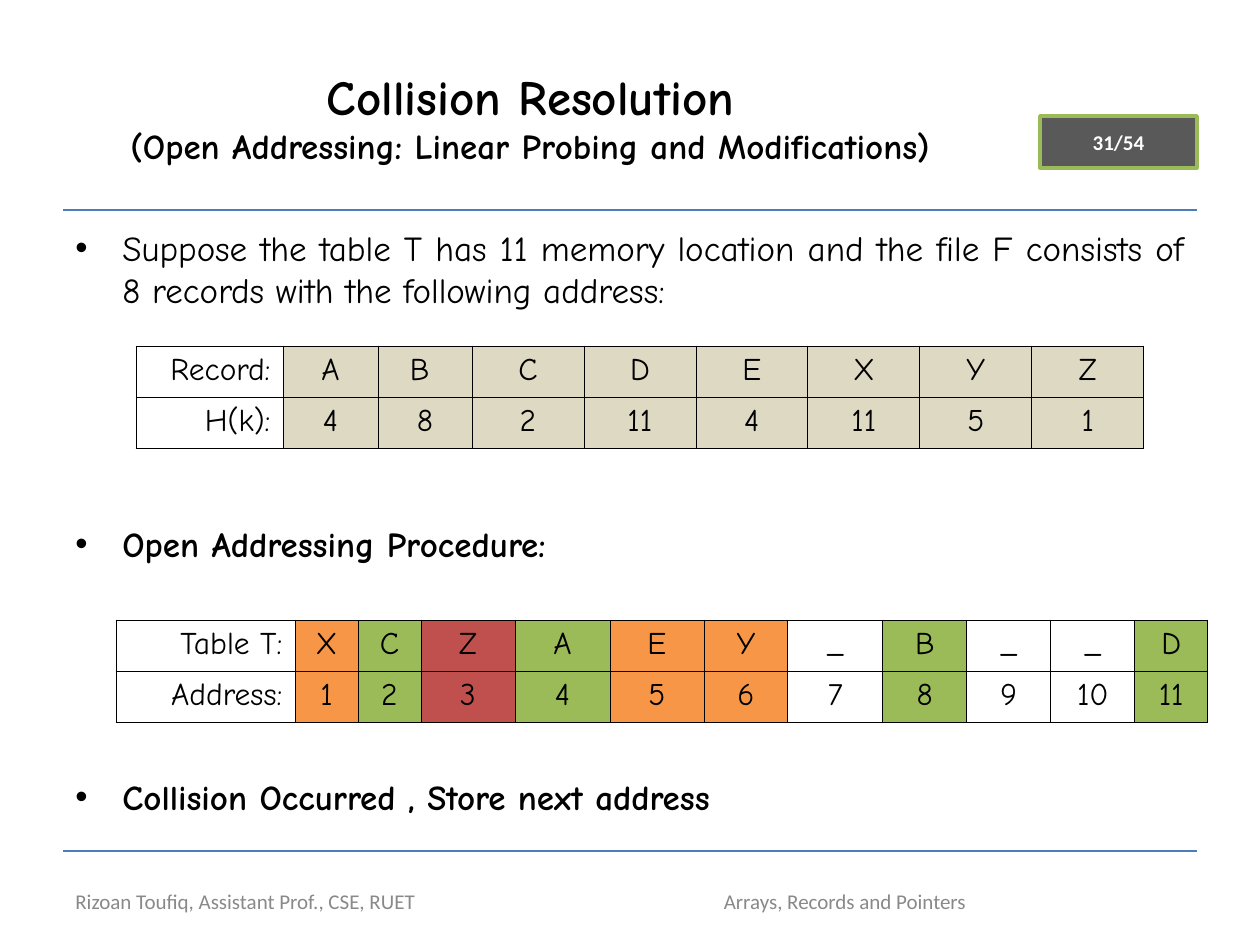
from lxml import etree
from pptx import Presentation
from pptx.dml.color import RGBColor
from pptx.enum.shapes import MSO_CONNECTOR, MSO_SHAPE
from pptx.enum.text import MSO_ANCHOR, PP_ALIGN
from pptx.oxml.ns import qn
from pptx.util import Emu, Pt

PX = 914400 / 126
LEFT, CENTER, RIGHT, JUSTIFY = PP_ALIGN.LEFT, PP_ALIGN.CENTER, PP_ALIGN.RIGHT, PP_ALIGN.JUSTIFY
MIDDLE = MSO_ANCHOR.MIDDLE

BLACK = RGBColor(0x00, 0x00, 0x00)
WHITE = RGBColor(0xFF, 0xFF, 0xFF)
GRAY = RGBColor(0x89, 0x89, 0x89)
DARK_GRAY = RGBColor(0x59, 0x59, 0x59)
BLUE = RGBColor(0x4A, 0x7E, 0xBB)
TAN = RGBColor(0xDD, 0xD9, 0xC3)
GREEN = RGBColor(0x9B, 0xBB, 0x59)
ORANGE = RGBColor(0xF7, 0x96, 0x46)
RED = RGBColor(0xC0, 0x50, 0x4D)

HAND_FONT, PLAIN_FONT = "Comic Neue", "Calibri"
ROW_HEIGHT = 51

RECORD_WIDTHS = [147, 95, 94] + [112] * 6
RECORDS = [
    ["Record:", "A", "B ", "C", "D", "E", "X", "Y", "Z"],
    ["H(k):", "4", "8", "2", "11", "4", "11", "5", "1"],
]
RECORD_FILLS = [None] + [TAN] * 8

ADDRESS_WIDTHS = [179, 63, 63, 94, 95, 94, 84, 95, 84, 84, 84, 73]
ADDRESSES = [
    ["Table T:", "X", "C", "Z", "A", "E", "Y", "_", "B", "_", "_", "D"],
    ["Address:"] + [str(number) for number in range(1, 12)],
]
ADDRESS_FILLS = [None, ORANGE, GREEN, RED, GREEN, ORANGE, ORANGE,
                 None, GREEN, None, None, GREEN]

# Text, bold, space before in points
BULLETS = [
    ("Suppose the table T has 11 memory location and the file F consists of "
     "8 records with the following address:", False, 5),
    ("Open Addressing Procedure:", True, 121),
    ("Collision Occurred , Store next address", True, 121),
]


def px(value):
    return Emu(round(value * PX))


def add_text(paragraph, text, size, font=HAND_FONT, color=BLACK, bold=False, align=LEFT):
    paragraph.alignment = align
    run = paragraph.add_run()
    run.text = text
    run.font.name = font
    run.font.size = Pt(size)
    run.font.bold = bold
    run.font.color.rgb = color


def add_rule(slide, y):
    line = slide.shapes.add_connector(MSO_CONNECTOR.STRAIGHT, px(63), px(y), px(1197), px(y))
    line.line.color.rgb = BLUE
    line.line.width = Pt(0.75)
    etree.SubElement(line._element.spPr, qn("a:effectLst"))


def add_page_number(slide, text):
    badge = slide.shapes.add_shape(MSO_SHAPE.RECTANGLE, px(1040), px(116), px(157), px(52))
    badge.shadow.inherit = False
    badge.fill.solid()
    badge.fill.fore_color.rgb = DARK_GRAY
    badge.line.color.rgb = GREEN
    badge.line.width = Pt(2)
    badge.text_frame.vertical_anchor = MIDDLE
    add_text(badge.text_frame.paragraphs[0], text, 12, PLAIN_FONT, WHITE, True, CENTER)


def fill_title(slide):
    title = slide.shapes.title
    title.left, title.top, title.width, title.height = px(63), px(38), px(935), px(157)
    title.text_frame.vertical_anchor = MIDDLE
    paragraph = title.text_frame.paragraphs[0]
    add_text(paragraph, "Collision Resolution", 28, bold=True, align=CENTER)
    paragraph.add_line_break()
    add_text(paragraph, "(Open Addressing: Linear Probing and Modifications)", 20,
             bold=True, align=CENTER)


def add_text_box(slide, left, top, width, height):
    frame = slide.shapes.add_textbox(px(left), px(top), px(width), px(height)).text_frame
    frame.word_wrap = True
    return frame


def set_bullet(paragraph):
    properties = paragraph._p.get_or_add_pPr()
    indent = px(47)
    properties.set("marL", str(indent))
    properties.set("indent", str(-indent))
    etree.SubElement(properties, qn("a:buFont")).set("typeface", "Arial")
    etree.SubElement(properties, qn("a:buChar")).set("char", "•")


def add_bullets(slide):
    frame = add_text_box(slide, 63, 220, 1134, 624)
    for index, (text, bold, space) in enumerate(BULLETS):
        paragraph = frame.add_paragraph() if index else frame.paragraphs[0]
        paragraph.space_before = Pt(space)
        set_bullet(paragraph)
        add_text(paragraph, text, 20, bold=bold, align=JUSTIFY)


def add_footer(slide, left, width, text, align):
    frame = add_text_box(slide, left, 876, width, 50)
    frame.vertical_anchor = MIDDLE
    add_text(frame.paragraphs[0], text, 12, PLAIN_FONT, GRAY, align=align)


def set_borders(cell):
    """Draw a thin black line on all four sides, ahead of the cell fill."""
    properties = cell._tc.get_or_add_tcPr()
    for position, side in enumerate(("lnL", "lnR", "lnT", "lnB")):
        border = etree.Element(qn(f"a:{side}"), w=str(Pt(0.45)))
        solid = etree.SubElement(border, qn("a:solidFill"))
        etree.SubElement(solid, qn("a:srgbClr")).set("val", str(BLACK))
        properties.insert(position, border)


def add_grid(slide, left, top, widths, rows, fills):
    """Add a table whose columns each have one fill; None leaves a column clear."""
    table = slide.shapes.add_table(len(rows), len(widths), px(left), px(top),
                                   px(sum(widths)), px(ROW_HEIGHT * len(rows))).table
    table.first_row = table.horz_banding = False
    for column, width in zip(table.columns, widths):
        column.width = px(width)
    for row_index, row in enumerate(rows):
        for column_index, (text, fill) in enumerate(zip(row, fills)):
            cell = table.cell(row_index, column_index)
            if fill is None:
                cell.fill.background()
            else:
                cell.fill.solid()
                cell.fill.fore_color.rgb = fill
            set_borders(cell)
            add_text(cell.text_frame.paragraphs[0], text, 18,
                     align=CENTER if column_index else RIGHT)


def main():
    presentation = Presentation()
    presentation.slide_width, presentation.slide_height = px(1260), px(945)
    slide = presentation.slides.add_slide(presentation.slide_layouts[5])
    for y in (210, 851):
        add_rule(slide, y)
    add_page_number(slide, "31/54")
    fill_title(slide)
    add_bullets(slide)
    add_footer(slide, 63, 557, "Rizoan Toufiq, Assistant Prof., CSE, RUET", LEFT)
    add_footer(slide, 661, 368, "Arrays, Records and Pointers", CENTER)
    add_grid(slide, 136, 346, RECORD_WIDTHS, RECORDS, RECORD_FILLS)
    add_grid(slide, 116, 620, ADDRESS_WIDTHS, ADDRESSES, ADDRESS_FILLS)
    presentation.save("out.pptx")


if __name__ == "__main__":
    main()
